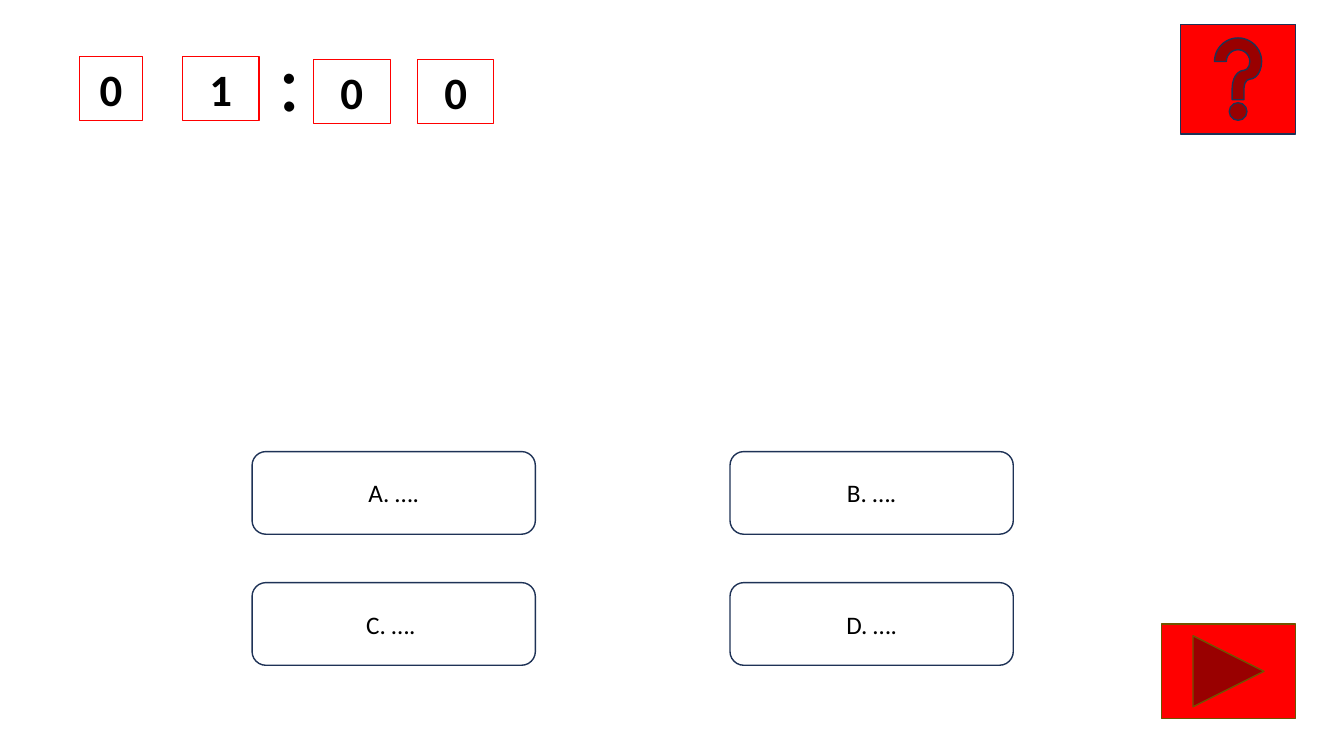
from dataclasses import dataclass

import pptx
import pptx.dml.color
import pptx.enum.shapes
import pptx.enum.text
import pptx.util

Inches = pptx.util.Inches
Pt = pptx.util.Pt
Shape = pptx.enum.shapes.MSO_SHAPE
Anchor = pptx.enum.text.MSO_ANCHOR

COLORS = {
    "white": "FFFFFF",
    "black": "000000",
    "red": "FF0000",
    "navy": "1E3256",
    "olive": "705400",
}
FONT = "Calibri"


@dataclass
class Box:
    kind: Shape
    left: float
    top: float
    width: float
    height: float
    line: str
    weight: float = 1
    fill: str | None = None


def rgb(name: str) -> pptx.dml.color.RGBColor:
    return pptx.dml.color.RGBColor.from_string(COLORS[name])


def write(sp, text: str, *, size: float, bold: bool = False,
          anchor: Anchor = Anchor.TOP, wrap: bool = True) -> None:
    tf = sp.text_frame
    tf.word_wrap = wrap
    tf.vertical_anchor = anchor
    p = tf.paragraphs[0]
    p.alignment = pptx.enum.text.PP_ALIGN.CENTER
    r = p.add_run()
    r.text = text
    r.font.name = FONT
    r.font.size = Pt(size)
    r.font.bold = bold
    r.font.color.rgb = rgb("black")


def draw(s, box: Box):
    sp = s.shapes.add_shape(box.kind, Inches(box.left), Inches(box.top),
                            Inches(box.width), Inches(box.height))
    sp.shadow.inherit = False
    if box.fill:
        sp.fill.solid()
        sp.fill.fore_color.rgb = rgb(box.fill)
    else:
        sp.fill.background()
    sp.line.color.rgb = rgb(box.line)
    sp.line.width = Pt(box.weight)
    return sp


def main() -> None:
    prs = pptx.Presentation()
    prs.slide_width, prs.slide_height = Inches(13.33), Inches(7.5)
    s = prs.slides.add_slide(prs.slide_layouts[6])

    # Answers in a two by two grid
    for i, letter in enumerate("ABCD"):
        row, col = divmod(i, 2)
        answer = Box(Shape.ROUNDED_RECTANGLE, 2.5 + 4.74 * col, 4.48 + 1.3 * row,
                     2.81, 0.82, "navy", fill="white")
        tail = " " if letter == "C" else ""
        write(draw(s, answer), f"{letter}. ….{tail}", size=18, anchor=Anchor.MIDDLE)

    # Help button
    draw(s, Box(Shape.ACTION_BUTTON_HELP, 11.71, 0.24, 1.14, 1.09, "navy", fill="red"))

    # Countdown digits
    digits = [("0", 0.79, 0.56, 0.62), ("1", 1.81, 0.56, 0.76),
              ("0", 3.11, 0.59, 0.76), ("0", 4.14, 0.59, 0.76)]
    for digit, left, top, width in digits:
        frame = Box(Shape.RECTANGLE, left, top, width, 0.64, "red", weight=0.75)
        write(draw(s, frame), digit, size=32, bold=True)

    # Colon between minutes and seconds
    colon = s.shapes.add_textbox(Inches(2.66), Inches(0.22), Inches(0.36), Inches(1.11))
    write(colon, ":", size=60)

    # Next button
    draw(s, Box(Shape.ACTION_BUTTON_FORWARD_OR_NEXT, 11.52, 6.19, 1.33, 0.94,
                "olive", fill="red"))

    prs.save("out.pptx")


if __name__ == "__main__":
    main()
